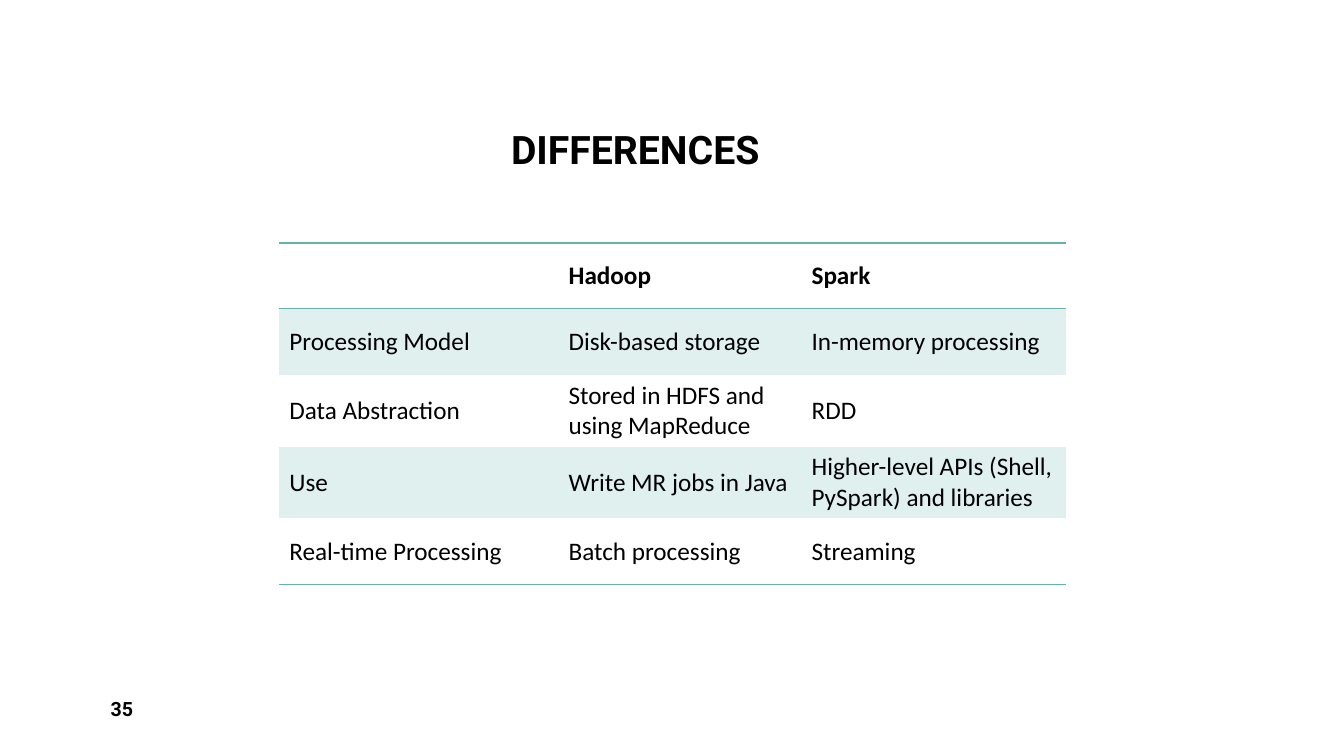
"""Build a slide with a table of differences between Hadoop and Spark."""
from dataclasses import dataclass

from lxml import etree
from pptx import Presentation
from pptx.dml.color import RGBColor
from pptx.enum.text import MSO_ANCHOR
from pptx.oxml.ns import qn
from pptx.util import Emu, Pt

MIDDLE, BOTTOM = MSO_ANCHOR.MIDDLE, MSO_ANCHOR.BOTTOM
PX = 9144
COLORS = {"text": "000000", "rule": "66B2B0", "band": "E0F0EF"}
COLUMN_WIDTHS = (277, 241, 262)
ROW_HEIGHTS = (65, 66, 66, 66, 66)
TABLE_LEFT, TABLE_TOP = 277, 241
ROWS = (
    ("", "Hadoop", "Spark"),
    ("Processing Model", "Disk-based storage", "In-memory processing"),
    ("Data Abstraction", "Stored in HDFS and using MapReduce", "RDD"),
    ("Use", "Write MR jobs in Java", "Higher-level APIs (Shell, PySpark) and libraries"),
    ("Real-time Processing", "Batch processing", "Streaming"),
)


@dataclass(frozen=True)
class Label:
    text: str
    left: int
    top: int
    width: int
    height: int
    size: int
    anchor: MSO_ANCHOR
    line_spacing: float


LABELS = (
    Label("DIFFERENCES", 497, 40, 675, 137, 28, BOTTOM, 0.9),
    Label("35", 100, 683, 130, 40, 14, MIDDLE, 1.0),
)


def px(length: int) -> Emu:
    return Emu(length * PX)


def format_runs(paragraph, font_name: str, size: int, bold: bool) -> None:
    for run in paragraph.runs:
        run.font.name = font_name
        run.font.size = Pt(size)
        run.font.bold = bold
        run.font.color.rgb = RGBColor.from_string(COLORS["text"])


def draw_label(slide, label: Label) -> None:
    shape = slide.shapes.add_textbox(
        px(label.left), px(label.top), px(label.width), px(label.height))
    text_frame = shape.text_frame
    text_frame.word_wrap = True
    text_frame.vertical_anchor = label.anchor
    text_frame.text = label.text
    paragraph = text_frame.paragraphs[0]
    paragraph.line_spacing = label.line_spacing
    format_runs(paragraph, "Roboto", label.size, True)


def set_borders(cell, ruled_sides: str) -> None:
    properties = cell._tc.get_or_add_tcPr()
    for side in "LRTB":
        line = etree.SubElement(properties, qn(f"a:ln{side}"), w=str(Pt(1)))
        if side in ruled_sides:
            fill = etree.SubElement(line, qn("a:solidFill"))
            etree.SubElement(fill, qn("a:srgbClr"), val=COLORS["rule"])
        else:
            etree.SubElement(line, qn("a:noFill"))


def draw_table(slide) -> None:
    table = slide.shapes.add_table(
        len(ROWS), len(COLUMN_WIDTHS), px(TABLE_LEFT), px(TABLE_TOP),
        px(sum(COLUMN_WIDTHS)), px(sum(ROW_HEIGHTS))).table
    table.first_row = False
    table.horz_banding = False
    for column, width in zip(table.columns, COLUMN_WIDTHS):
        column.width = px(width)
    ruled_sides = {0: "TB", 1: "T", len(ROWS) - 1: "B"}
    for row_index, texts in enumerate(ROWS):
        table.rows[row_index].height = px(ROW_HEIGHTS[row_index])
        for column_index, text in enumerate(texts):
            cell = table.cell(row_index, column_index)
            cell.vertical_anchor = MIDDLE
            set_borders(cell, ruled_sides.get(row_index, ""))
            if row_index % 2:
                cell.fill.solid()
                cell.fill.fore_color.rgb = RGBColor.from_string(COLORS["band"])
            else:
                cell.fill.background()
            if text:
                cell.text_frame.text = text
                format_runs(cell.text_frame.paragraphs[0], "Calibri", 18, row_index == 0)


def main() -> None:
    presentation = Presentation()
    presentation.slide_width, presentation.slide_height = px(1333), px(750)
    slide = presentation.slides.add_slide(presentation.slide_layouts[6])
    draw_table(slide)
    for label in LABELS:
        draw_label(slide, label)
    presentation.save("out.pptx")


if __name__ == "__main__":
    main()
